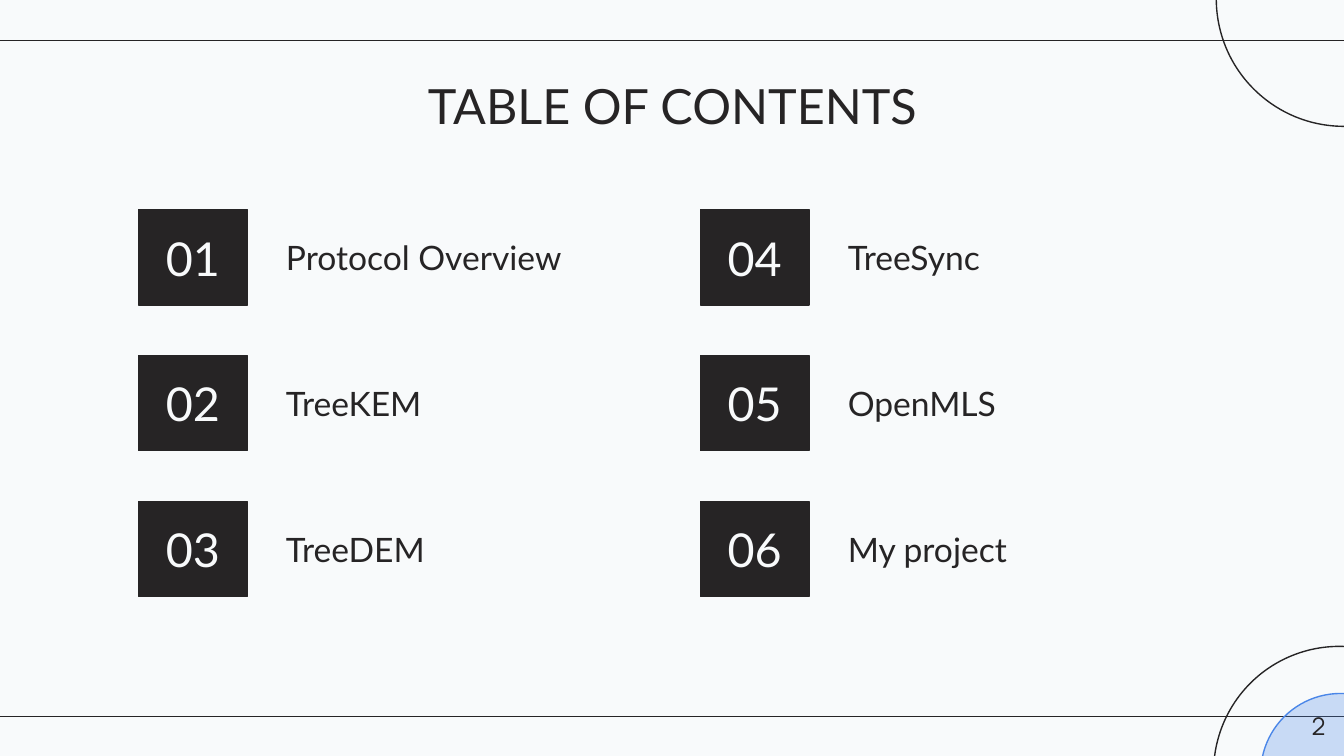
from dataclasses import dataclass
from itertools import product

from pptx import Presentation
from pptx.dml.color import RGBColor as Rgb
from pptx.enum.shapes import MSO_CONNECTOR as Link, MSO_SHAPE as Kind
from pptx.enum.text import MSO_ANCHOR as Anchor, MSO_AUTO_SIZE as Fit, PP_ALIGN as Align
from pptx.oxml.ns import qn
from pptx.util import Inches, Pt
from lxml.etree import SubElement as Sub


@dataclass(frozen=True)
class Theme:
    paper: Rgb = Rgb.from_string("F8FAFB")
    ink: Rgb = Rgb.from_string("262425")
    blue: Rgb = Rgb.from_string("4A86E8")
    font: str = "Lato"
    digit: str = "Manrope"
    title: float = 26
    number: float = 25
    label: float = 18
    page: float = 13
    stroke: float = 0.75


LOOK = Theme()
WIDE = 10
HIGH = WIDE * 9 / 16
LEFT, TOP = 1.03, 1.56
PITCH, STEP = 4.18, 2.17 / 2
BOX, TALL = 0.81, 0.71
BLEED = 0.02
TOPICS = ["Protocol Overview", "TreeKEM", "TreeDEM", "TreeSync", "OpenMLS", "My project"]


def apply(item, form):
    for name, value in form.items():
        setattr(item, name, value)


def area(*sizes):
    return [Inches(size) for size in sizes]


def place(shape, *sizes):
    apply(shape, dict(zip(("left", "top", "width", "height"), area(*sizes))))


def write(shape, text, size, color=LOOK.ink, font=LOOK.font, align=Align.LEFT, anchor=Anchor.MIDDLE):
    frame = shape.text_frame
    pad = Inches(0.1)
    apply(frame, {
        "text": text, "word_wrap": True, "auto_size": Fit.NONE, "vertical_anchor": anchor,
        "margin_left": pad, "margin_right": pad, "margin_top": pad, "margin_bottom": pad,
    })
    line = frame.paragraphs[0]
    line.alignment = align
    face = line.runs[0].font
    apply(face, {"name": font, "size": Pt(size)})
    face.color.rgb = color


def add_rule(slide, y):
    rule = slide.shapes.add_connector(Link.STRAIGHT, *area(WIDE + BLEED, y, -BLEED, y))
    rule.line.width = Pt(LOOK.stroke)
    rule.line.color.rgb = LOOK.ink
    Sub(rule._element.spPr, qn("a:effectLst"))


def add_form(slide, kind, sizes, line=LOOK.ink, fill=None, alpha=None):
    shape = slide.shapes.add_shape(kind, *area(*sizes))
    shape.shadow.inherit = False
    shape.line.width = Pt(LOOK.stroke)
    shape.line.color.rgb = line
    if fill is None:
        shape.fill.background()
    else:
        shape.fill.solid()
        shape.fill.fore_color.rgb = fill
    if alpha is not None:
        tint = shape._element.spPr.find(qn("a:solidFill"))[0]
        Sub(tint, qn("a:alpha"), val=str(alpha * 1000))
    return shape


def add_ring(slide, x, y, size, **form):
    add_form(slide, Kind.OVAL, (x, y, size, size), **form)


def add_text(slide, sizes, text, size, **form):
    write(slide.shapes.add_textbox(*area(*sizes)), text, size, **form)


def add_topic(slide, index, col, row):
    x, y = LEFT + col * PITCH, TOP + row * STEP
    tile = add_form(slide, Kind.RECTANGLE, (x, y, BOX, TALL), fill=LOOK.ink)
    write(tile, f"{index + 1:02}", LOOK.number, color=LOOK.paper, align=Align.CENTER)
    add_text(slide, (x + 1, y, 3, TALL), TOPICS[index], LOOK.label)


def main():
    deck = Presentation()
    apply(deck, {"slide_width": Inches(WIDE), "slide_height": Inches(HIGH)})
    slide = deck.slides.add_slide(deck.slide_layouts[5])
    slide.background.fill.solid()
    slide.background.fill.fore_color.rgb = LOOK.paper

    for y in (0.3, 5.33):
        add_rule(slide, y)
    add_ring(slide, 9.03, 4.81, 1.87)
    add_ring(slide, 9.38, 5.16, 1.19, line=LOOK.blue, fill=LOOK.blue, alpha=27)
    add_ring(slide, 9.05, -0.96, 1.9)

    title = slide.shapes.title
    place(title, 0.79, 0.45, 8.43, 0.67)
    write(title, "TABLE OF CONTENTS", LOOK.title, align=Align.CENTER)

    for index, (col, row) in enumerate(product(range(2), range(3))):
        add_topic(slide, index, col, row)
    add_text(slide, (9.36, 5.19, 0.6, 0.43), "2", LOOK.page,
             font=LOOK.digit, align=Align.RIGHT, anchor=Anchor.TOP)
    deck.save("out.pptx")


if __name__ == "__main__":
    main()
